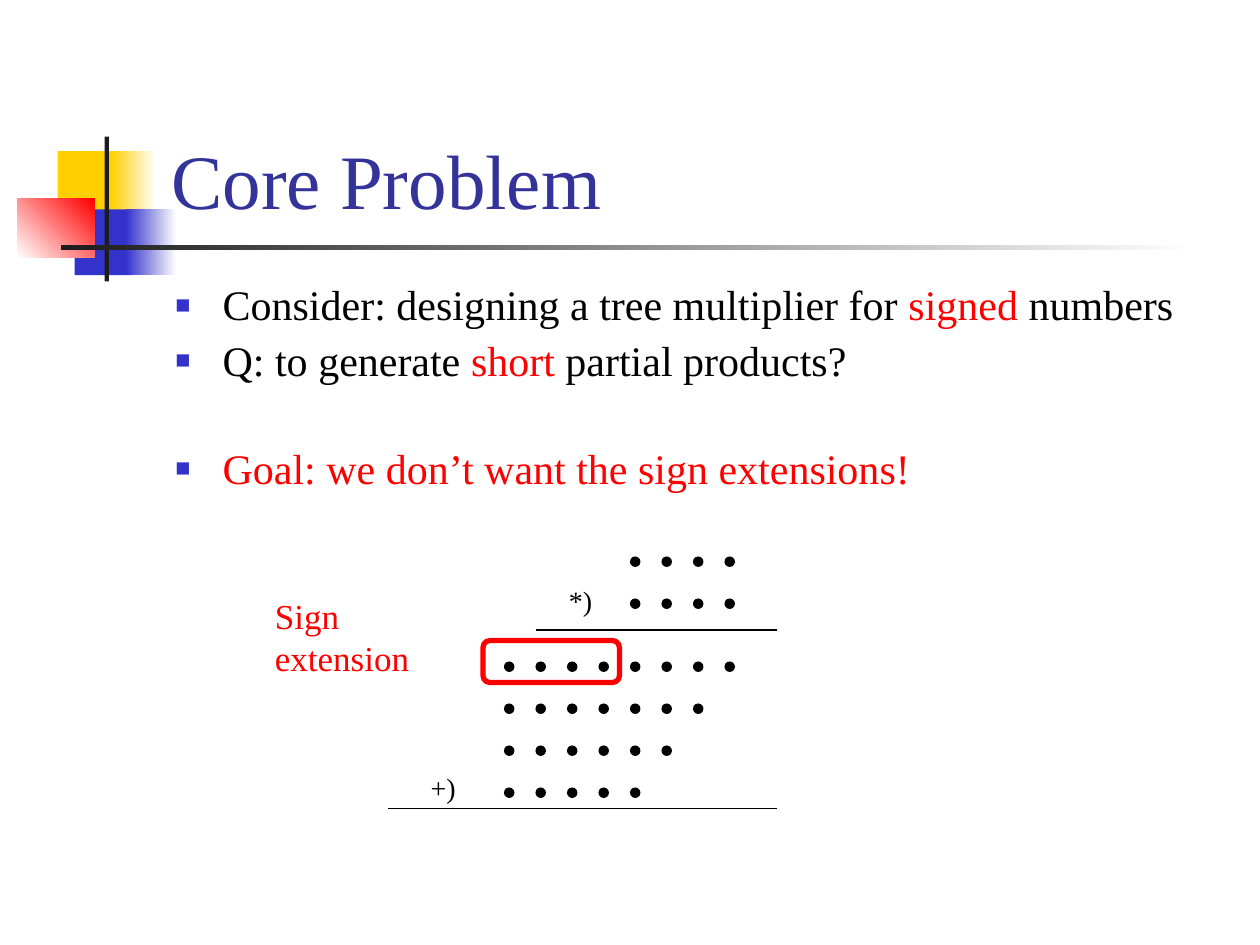
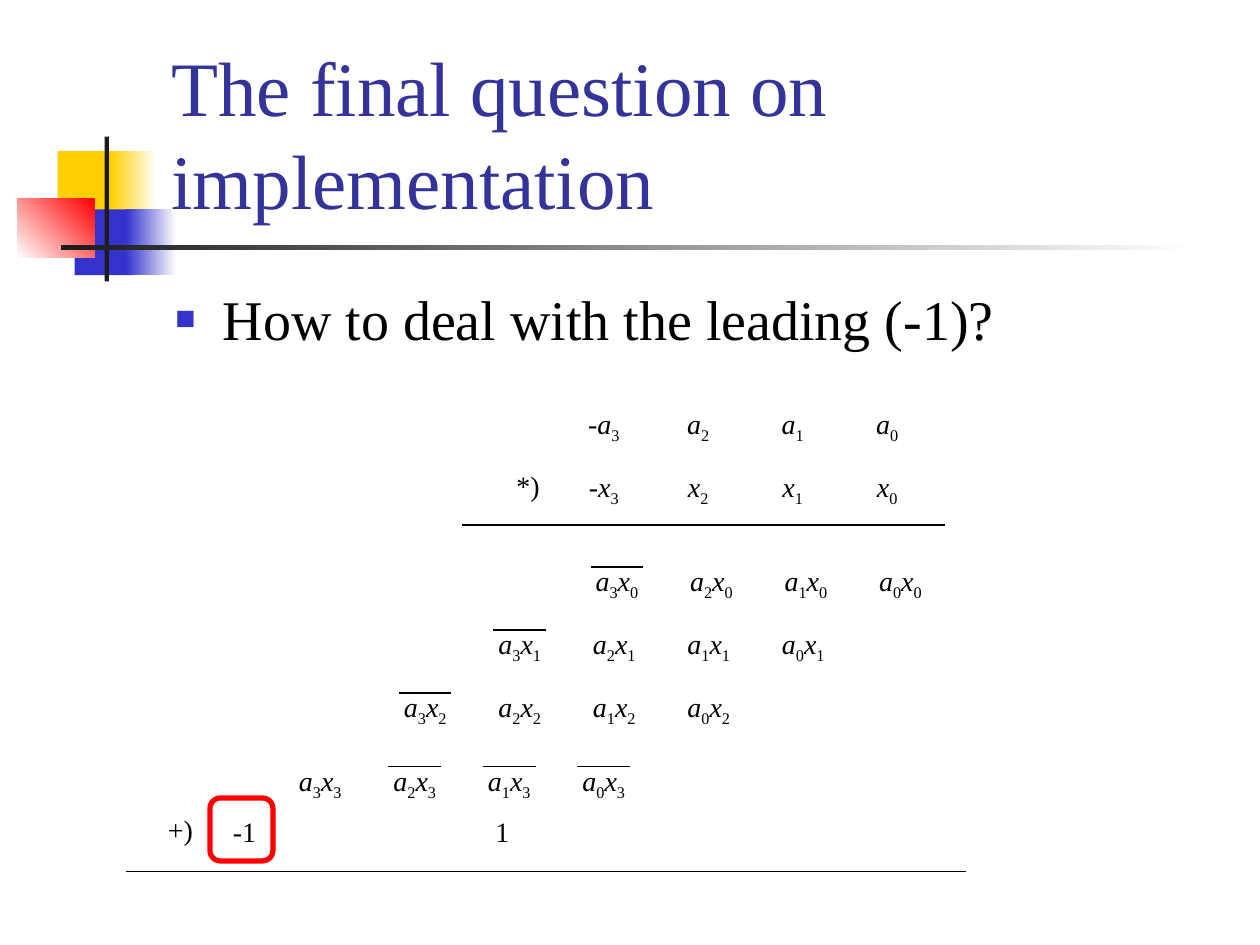
"""Build two slides on signed tree multiplication."""
from lxml import etree
from pptx import Presentation
from pptx.dml import color
from pptx.enum import shapes, text
from pptx.oxml import ns
from pptx.util import Pt

FONT = "Times New Roman"
BLACK, WHITE, RED, BLUE = "000000", "FFFFFF", "FF0000", "3333CC"
YELLOW, CHARCOAL, TITLE_BLUE = "FFCF01", "1C1C1C", "333399"
rgb = color.RGBColor.from_string


def add_label(slide, left, top, width, height, label, size=16, colour=BLACK, formula=False):
    """Add a text box; in a formula, letters are italic and digits are subscripts."""
    box = slide.shapes.add_textbox(Pt(left), Pt(top), Pt(width), Pt(height))
    frame = box.text_frame
    frame.word_wrap = False
    paragraph = frame.paragraphs[0]
    paragraph.font.name, paragraph.font.size = FONT, Pt(size)
    paragraph.font.color.rgb = rgb(colour)
    if formula:
        frame.vertical_anchor = text.MSO_ANCHOR.MIDDLE
        paragraph.alignment = text.PP_ALIGN.CENTER
        for character in label:
            run = paragraph.add_run()
            run.text = character
            run.font.italic = not character.isdigit()
            if character.isdigit():
                run.font._element.set("baseline", "-25000")
    else:
        paragraph.text = label
    return frame


def add_rule(slide, left, right, top):
    """Add a thin horizontal line."""
    rule = slide.shapes.add_connector(
        shapes.MSO_CONNECTOR.STRAIGHT, Pt(left), Pt(top), Pt(right), Pt(top))
    rule.line.color.rgb, rule.line.width = rgb(BLACK), Pt(0.75)
    etree.SubElement(rule._element.spPr, ns.qn("a:effectLst"))


presentation = Presentation()
presentation.slide_width, presentation.slide_height = Pt(720), Pt(540)
layout = presentation.slide_layouts[1]
problem_slide = presentation.slides.add_slide(layout)
question_slide = presentation.slides.add_slide(layout)

decorations = [
    (33, 86.4, 34.5, 37.5, [YELLOW], 0),
    (63.3, 86.4, 26, 37.5, [YELLOW, WHITE], 0),
    (42.6, 119.7, 33, 37.5, [BLUE], 0),
    (72, 119.7, 28.6, 37.5, [BLUE, WHITE], 0),
    (10, 113.7, 44, 33.3, [WHITE, RED], 45),
    (59.8, 78, 2.5, 82.8, [CHARCOAL], 0),
    (34.8, 140.2, 648, 2.5, [CHARCOAL, WHITE], 0),
]
for left, top, width, height, colours, angle in decorations:
    shape = problem_slide.shapes.add_shape(
        shapes.MSO_SHAPE.RECTANGLE, Pt(left), Pt(top), Pt(width), Pt(height))
    shape.shadow.inherit = False
    shape.line.fill.background()
    if len(colours) == 1:
        shape.fill.solid()
        shape.fill.fore_color.rgb = rgb(colours[0])
    else:
        shape.fill.gradient()
        shape.fill.gradient_angle = angle
        for stop, colour in zip(shape.fill.gradient_stops, colours):
            stop.color.rgb = rgb(colour)
    layout.shapes.element.append(shape._element)

contents = [
    (problem_slide, "Core Problem", 141, 24, 0.9, [
        (0, [("Consider: designing a tree multiplier for ", BLACK), ("signed", RED),
             (" numbers", BLACK)]),
        (5.6, [("Q: to generate ", BLACK), ("short", RED), (" partial products?", BLACK)]),
        (36, [("Goal: we don’t want the sign extensions!", RED)]),
    ]),
    (question_slide, "The final question on implementation", 51, 32, 1.0, [
        (0, [("How to deal with the leading (-1)?", BLACK)]),
    ]),
]
for slide, heading, body_height, size, line_spacing, bullets in contents:
    title, body = slide.shapes.title, slide.placeholders[1]
    title.left, title.top, title.width, title.height = Pt(90.7), Pt(16.5), Pt(613.5), Pt(115.5)
    body.left, body.top, body.width, body.height = Pt(93), Pt(159), Pt(612), Pt(body_height)
    title.text_frame.text = heading
    title.text_frame.vertical_anchor = text.MSO_ANCHOR.BOTTOM
    paragraph = title.text_frame.paragraphs[0]
    paragraph.alignment = text.PP_ALIGN.LEFT
    paragraph.font.name, paragraph.font.size = FONT, Pt(44)
    paragraph.font.color.rgb = rgb(TITLE_BLUE)
    for placeholder in (title, body):
        placeholder.text_frame.auto_size = text.MSO_AUTO_SIZE.NONE
    for number, (space_before, runs) in enumerate(bullets):
        frame = body.text_frame
        paragraph = frame.add_paragraph() if number else frame.paragraphs[0]
        properties = paragraph._p.get_or_add_pPr()
        properties.set("marL", str(Pt(27)))
        properties.set("indent", str(Pt(-27)))
        bullet_colour = etree.SubElement(properties, ns.qn("a:buClr"))
        etree.SubElement(bullet_colour, ns.qn("a:srgbClr"), val=BLUE)
        etree.SubElement(properties, ns.qn("a:buSzPct"), val="60000")
        etree.SubElement(properties, ns.qn("a:buFont"), typeface=FONT)
        etree.SubElement(properties, ns.qn("a:buChar"), char="■")
        paragraph.line_spacing, paragraph.space_before = line_spacing, Pt(space_before)
        paragraph.font.name, paragraph.font.size = FONT, Pt(size)
        for words, colour in runs:
            run = paragraph.add_run()
            run.text = words
            run.font.color.rgb = rgb(colour)

dot_rows = [(318, 360, 4), (342, 360, 4), (378, 288, 8), (402, 288, 7), (426, 288, 6), (450, 288, 5)]
for top, first_left, count in dot_rows:
    for column in range(count):
        dot = problem_slide.shapes.add_shape(
            shapes.MSO_SHAPE.OVAL, Pt(first_left + 18 * column), Pt(top), Pt(6), Pt(6))
        dot.shadow.inherit = False
        dot.fill.solid()
        dot.fill.fore_color.rgb = rgb(BLACK)
        dot.line.fill.background()

formula_rows = [
    (318, 228, ["-a3", "a2", "a1", "a0"], []),
    (318, 264, ["-x3", "x2", "x1", "x0"], []),
    (325.5, 318, ["a3x0", "a2x0", "a1x0", "a0x0"], [0]),
    (270, 354, ["a3x1", "a2x1", "a1x1", "a0x1"], [0]),
    (216, 390, ["a3x2", "a2x2", "a1x2", "a0x2"], [0]),
    (156, 432, ["a3x3", "a2x3", "a1x3", "a0x3"], [1, 2, 3]),
]
for first_left, top, terms, barred_columns in formula_rows:
    for column, term in enumerate(terms):
        left = first_left + 54 * column
        add_label(question_slide, left, top, 54, 30, term, formula=True)
        if column in barred_columns:
            add_rule(question_slide, left + 12, left + 42, top + 6)

for slide, left, top, width, label in [
    (problem_slide, 318, 330, 28, "*)"),
    (problem_slide, 239, 437, 29, "+)"),
    (question_slide, 288, 264, 28, "*)"),
    (question_slide, 126, 462, 28, "-1"),
    (question_slide, 276, 462, 22, "1"),
    (question_slide, 88.8, 461, 29, "+)"),
]:
    add_label(slide, left, top, width, 26.6, label)
sign_note = add_label(problem_slide, 150, 336, 132, 31, "Sign\vextension", 20, RED)
sign_note.word_wrap = True

for slide, left, right, top in [
    (problem_slide, 306, 444, 360),
    (problem_slide, 222, 444, 462),
    (question_slide, 264, 540, 300),
    (question_slide, 72, 552, 498),
]:
    add_rule(slide, left, right, top)

for slide, left, top, width, height in [
    (problem_slide, 276, 366, 78, 24),
    (question_slide, 120, 456, 36, 36),
]:
    highlight = slide.shapes.add_shape(
        shapes.MSO_SHAPE.ROUNDED_RECTANGLE, Pt(left), Pt(top), Pt(width), Pt(height))
    highlight.shadow.inherit = False
    highlight.fill.background()
    highlight.line.color.rgb, highlight.line.width = rgb(RED), Pt(3)

presentation.save("out.pptx")
